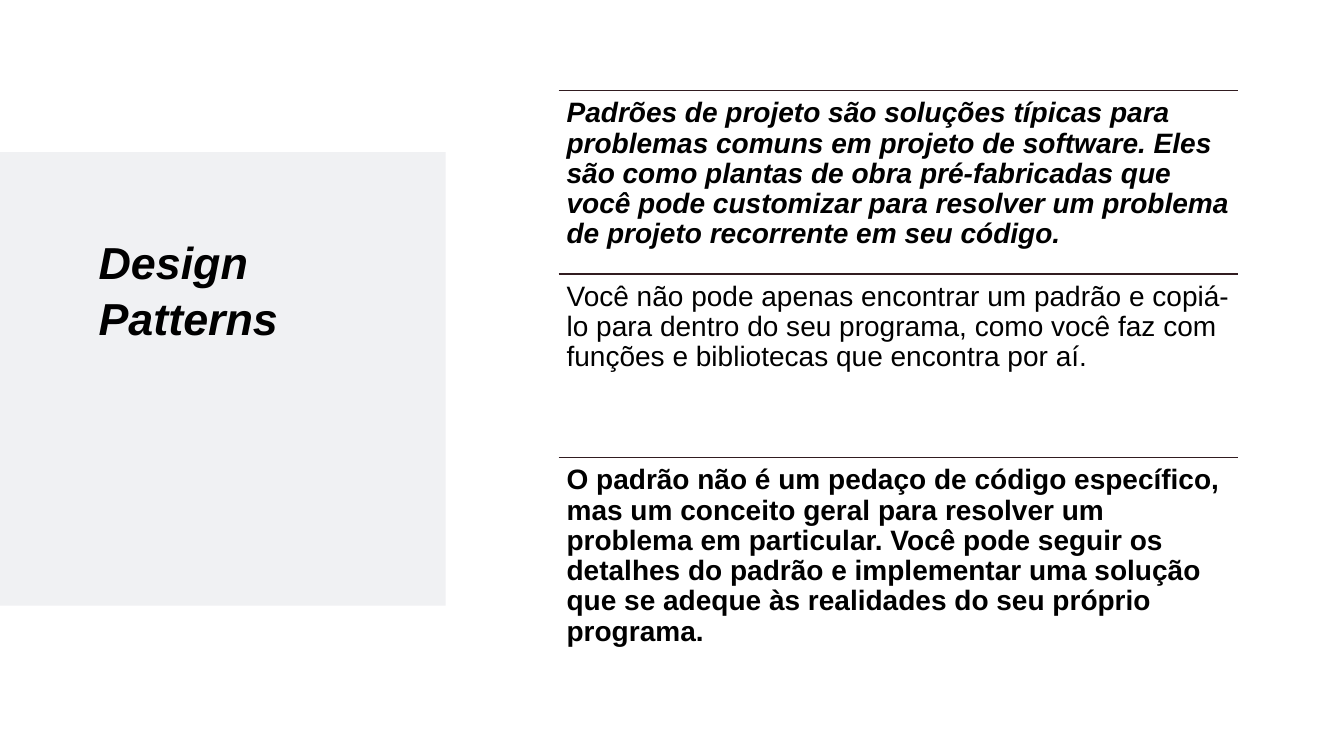
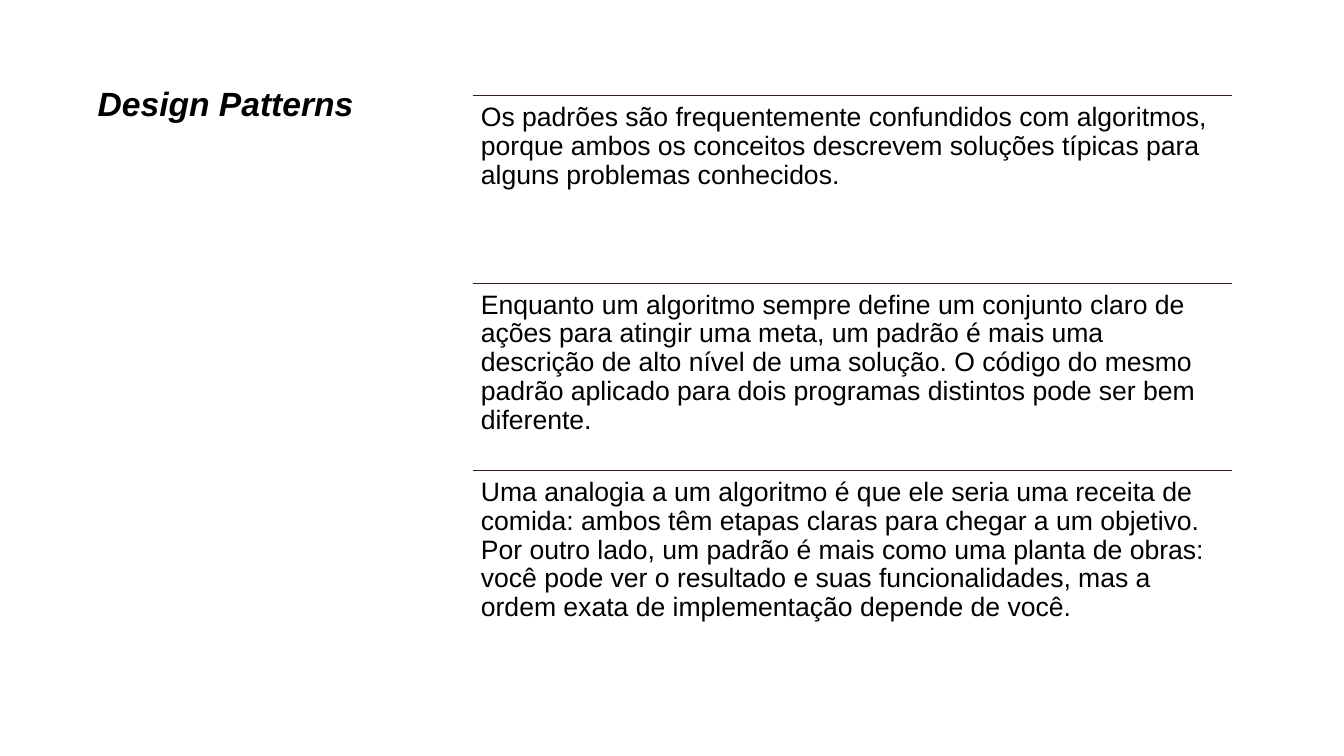
"""Build two slides on design patterns, each a title beside a ruled list."""
from dataclasses import dataclass

from lxml.etree import SubElement
from pptx import Presentation
from pptx.dml.color import RGBColor
from pptx.enum.shapes import MSO_CONNECTOR as CONN, MSO_SHAPE as SHAPE
from pptx.enum.text import MSO_ANCHOR as ANCHOR
from pptx.oxml.ns import qn
from pptx.slide import Slide
from pptx.util import Emu, Pt

EMU_PER_PX = 9144
FONT = "Arial"
INK, RULE, PANEL, PAPER = "000000", "311C20", "F0F1F3", "FFFFFF"


@dataclass(frozen=True)
class Box:
    x: int
    y: int
    w: int
    h: int


@dataclass(frozen=True)
class Item:
    text: str
    bold: bool = False
    italic: bool = False


@dataclass(frozen=True)
class Page:
    title_box: Box
    title_size: int
    first_row: Box
    text_size: int
    items: tuple[Item, ...]
    panel: Box | None = None


TITLE = Item("Design Patterns", bold=True, italic=True)

PAGES = (
    Page(
        title_box=Box(88, 225, 288, 290),
        title_size=32,
        first_row=Box(554, 90, 674, 182),
        text_size=20,
        panel=Box(0, 151, 442, 450),
        items=(
            Item("Padrões de projeto são soluções típicas para problemas comuns em "
                 "projeto de software. Eles são como plantas de obra pré-fabricadas "
                 "que você pode customizar para resolver um problema de projeto "
                 "recorrente em seu código.", bold=True, italic=True),
            Item("Você não pode apenas encontrar um padrão e copiá-lo para dentro do "
                 "seu programa, como você faz com funções e bibliotecas que encontra "
                 "por aí."),
            Item("O padrão não é um pedaço de código específico, mas um conceito geral "
                 "para resolver um problema em particular. Você pode seguir os "
                 "detalhes do padrão e implementar uma solução que se adeque às "
                 "realidades do seu próprio programa.", bold=True),
        ),
    ),
    Page(
        title_box=Box(87, 75, 324, 300),
        title_size=24,
        first_row=Box(469, 95, 753, 186),
        text_size=19,
        items=(
            Item("Os padrões são frequentemente confundidos com algoritmos, porque "
                 "ambos os conceitos descrevem soluções típicas para alguns problemas "
                 "conhecidos."),
            Item("Enquanto um algoritmo sempre define um conjunto claro de ações para "
                 "atingir uma meta, um padrão é mais uma descrição de alto nível de "
                 "uma solução. O código do mesmo padrão aplicado para dois programas "
                 "distintos pode ser bem diferente."),
            Item("Uma analogia a um algoritmo é que ele seria uma receita de comida: "
                 "ambos têm etapas claras para chegar a um objetivo. Por outro lado, "
                 "um padrão é mais como uma planta de obras: você pode ver o resultado "
                 "e suas funcionalidades, mas a ordem exata de implementação depende "
                 "de você."),
        ),
    ),
)


def px(n: int) -> Emu:
    return Emu(n * EMU_PER_PX)


def place(box: Box) -> tuple[Emu, Emu, Emu, Emu]:
    return px(box.x), px(box.y), px(box.w), px(box.h)


def color(value: str) -> RGBColor:
    return RGBColor.from_string(value)


def add_text(s: Slide, box: Box, item: Item, *, size: int, spacing: float,
             inset_x: int, inset_y: int) -> None:
    tf = s.shapes.add_textbox(*place(box)).text_frame
    tf.word_wrap = True
    tf.vertical_anchor = ANCHOR.TOP
    tf.margin_left = tf.margin_right = px(inset_x)
    tf.margin_top = tf.margin_bottom = px(inset_y)
    p = tf.paragraphs[0]
    p.line_spacing = spacing
    r = p.add_run()
    r.text = item.text
    r.font.name = FONT
    r.font.size = Pt(size)
    r.font.bold = item.bold
    r.font.italic = item.italic
    r.font.color.rgb = color(INK)


def add_panel(s: Slide, box: Box) -> None:
    sp = s.shapes.add_shape(SHAPE.RECTANGLE, *place(box))
    sp.shadow.inherit = False
    sp.fill.solid()
    sp.fill.fore_color.rgb = color(PANEL)
    sp.line.fill.background()


def add_rule(s: Slide, x: int, y: int, w: int) -> None:
    rule = s.shapes.add_connector(CONN.STRAIGHT, px(x), px(y), px(x + w), px(y))
    rule.line.color.rgb = color(RULE)
    rule.line.width = Pt(1)
    SubElement(rule._element.spPr, qn("a:effectLst"))


def add_page(prs: Presentation, page: Page) -> None:
    s = prs.slides.add_slide(prs.slide_layouts[6])
    s.background.fill.solid()
    s.background.fill.fore_color.rgb = color(PAPER)
    if page.panel:
        add_panel(s, page.panel)
    add_text(s, page.title_box, TITLE, size=page.title_size, spacing=1.05,
             inset_x=10, inset_y=5)
    first = page.first_row
    for i, item in enumerate(page.items):
        row = Box(first.x, first.y + i * first.h, first.w, first.h)
        add_rule(s, row.x, row.y, row.w)
        add_text(s, row, item, size=page.text_size, spacing=0.9,
                 inset_x=8, inset_y=8)


def main() -> None:
    prs = Presentation()
    prs.slide_width, prs.slide_height = px(1333), px(750)
    for page in PAGES:
        add_page(prs, page)
    prs.save("out.pptx")


if __name__ == "__main__":
    main()
